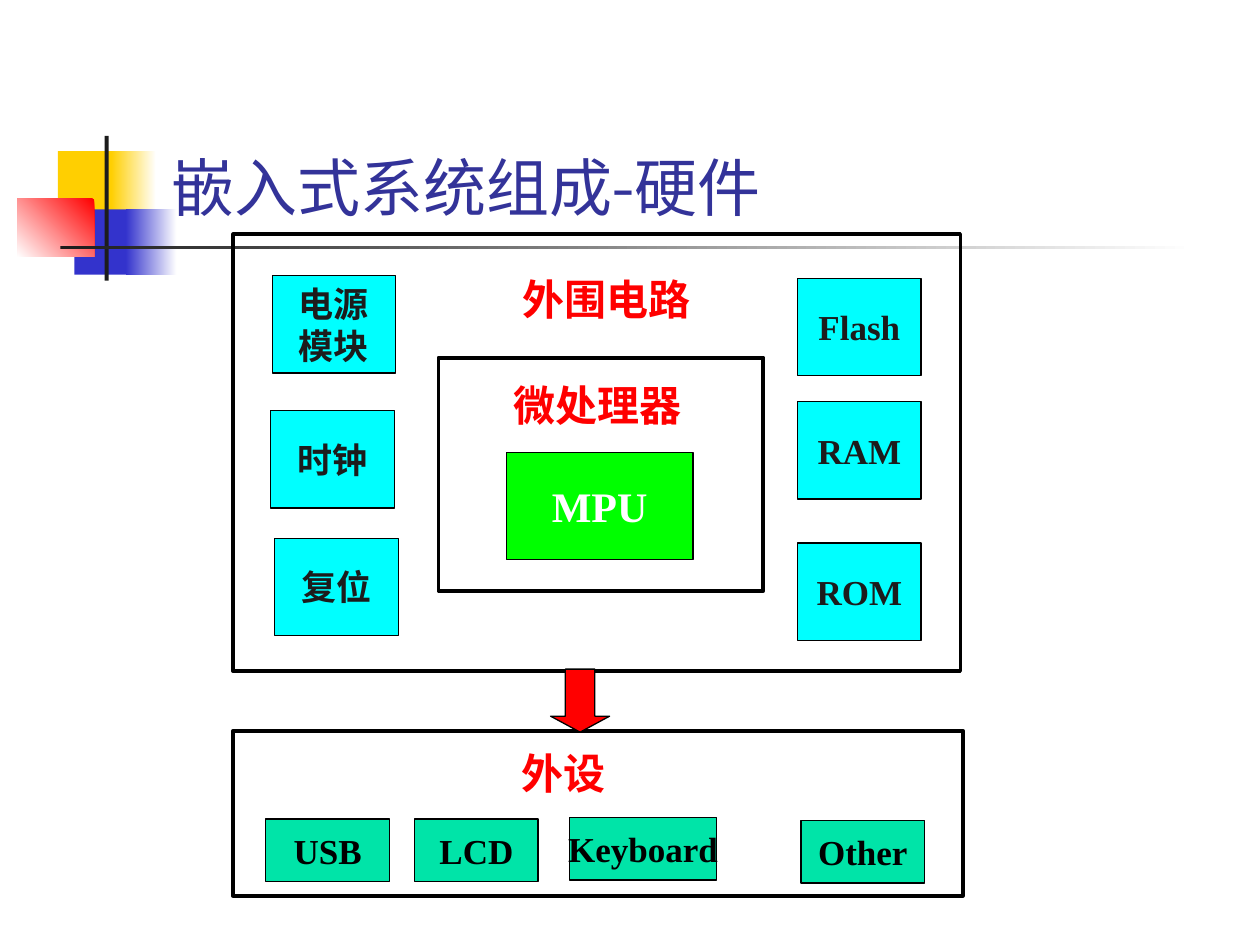
from pptx import Presentation
from pptx.dml.color import RGBColor
from pptx.enum.shapes import MSO_SHAPE
from pptx.enum.text import MSO_ANCHOR, PP_ALIGN
from pptx.util import Cm, Pt

RECTANGLE = MSO_SHAPE.RECTANGLE
DOWN_ARROW = MSO_SHAPE.DOWN_ARROW
MIDDLE = MSO_ANCHOR.MIDDLE
BOTTOM = MSO_ANCHOR.BOTTOM
LEFT = PP_ALIGN.LEFT
CENTER = PP_ALIGN.CENTER

TITLE_ONLY = 5
BODY_FONT = "Times New Roman"
TITLE_FONT = "Karla"
COLORS = {
    "white": "FFFFFF", "black": "000000", "ink": "1C1C1C",
    "red": "FF0000", "yellow": "FFCF01", "blue": "3333CC",
    "title": "333399", "processor": "00FF00",
    "circuit": "00FFFF", "device": "00E4A8",
}


def color(name):
    return RGBColor.from_string(COLORS[name])


def format_text(frame, text, size, color_name, align, font=BODY_FONT, bold=True):
    frame.text = text
    for para in frame.paragraphs:
        para.alignment = align
        for span in para.runs:
            span.font.name = font
            span.font.size = Pt(size)
            span.font.bold = bold
            span.font.color.rgb = color(color_name)


def add_block(page, area, fill=None, line_width=None, kind=RECTANGLE):
    """Add a shape with an optional solid fill and black outline."""
    block = page.shapes.add_shape(kind, *map(Cm, area))
    block.shadow.inherit = False
    if fill:
        block.fill.solid()
        block.fill.fore_color.rgb = color(fill)
    else:
        block.fill.background()
    if line_width:
        block.line.color.rgb = color("black")
        block.line.width = Pt(line_width)
    else:
        block.line.fill.background()
    return block


def add_fade(page, area, start, angle=0):
    """Add a rectangle that fades from a colour to white."""
    block = add_block(page, area)
    block.fill.gradient()
    block.fill.gradient_angle = angle
    for stop, name in zip(block.fill.gradient_stops, (start, "white")):
        stop.color.rgb = color(name)


def add_component(page, area, text, fill, text_color, size=20):
    block = add_block(page, area, fill, 0.75)
    frame = block.text_frame
    format_text(frame, text, size, text_color, CENTER)
    frame.word_wrap = False
    frame.vertical_anchor = MIDDLE


def add_heading(page, area, text, align=CENTER):
    box = page.shapes.add_textbox(*map(Cm, area))
    box.text_frame.word_wrap = True
    format_text(box.text_frame, text, 24, "red", align)


def add_decoration(page):
    add_block(page, (1.17, 3.05, 1.22, 1.32), "yellow")
    add_fade(page, (2.24, 3.05, 0.91, 1.32), "yellow")
    add_block(page, (1.5, 4.22, 1.17, 1.32), "blue")
    add_fade(page, (2.54, 4.22, 1.02, 1.32), "blue")
    add_fade(page, (0.35, 4.01, 1.55, 1.17), "red", 225)
    add_block(page, (2.11, 2.74, 0.08, 2.92), "ink")
    add_fade(page, (1.22, 4.95, 22.86, 0.08), "ink")


def place_title(page, text):
    title = page.shapes.title
    title.left, title.top, title.width, title.height = map(
        Cm, (3.2, 0.58, 21.64, 4.06))
    format_text(title.text_frame, text, 36, "title", LEFT, TITLE_FONT, False)
    title.text_frame.vertical_anchor = BOTTOM
    page.shapes.element.append(title.element)  # in front of the decoration


def add_processor(page):
    add_component(page, (10.21, 9.12, 3.76, 2.16), "MPU", "processor", "white", 24)
    add_block(page, (8.84, 7.21, 6.55, 4.7), line_width=2.25)
    add_heading(page, (10.11, 7.52, 4.55, 1.27), "微处理器", LEFT)


def add_circuit(page):
    add_block(page, (4.7, 4.72, 14.66, 8.81), line_width=2)
    modules = [
        ("电源\n模块", 5.49, 5.56), ("时钟", 5.46, 8.28), ("复位", 5.54, 10.85),
        ("Flash", 16.08, 5.61), ("RAM", 16.08, 8.1), ("ROM", 16.08, 10.95),
    ]
    for text, left, top in modules:
        add_component(page, (left, top, 2.49, 1.96), text, "circuit", "ink")
    add_heading(page, (9.96, 5.38, 4.55, 1.27), "外围电路")


def add_devices(page):
    add_block(page, (4.7, 14.73, 14.71, 3.33), line_width=2.25)
    devices = [
        ("USB", 5.36, 16.51, 2.49), ("LCD", 8.36, 16.51, 2.49),
        ("Keyboard", 11.48, 16.48, 2.97), ("Other", 16.15, 16.54, 2.49),
    ]
    for text, left, top, width in devices:
        add_component(page, (left, top, width, 1.26), text, "device", "black")
    add_heading(page, (9.3, 14.94, 4.11, 1.27), "外设")


def add_down_arrow(page):
    arrow = add_block(page, (11.1, 13.49, 1.19, 1.27), "red", 0.75, DOWN_ARROW)
    arrow.adjustments[0] = 0.5
    arrow.adjustments[1] = 0.27


def main():
    deck = Presentation()
    deck.slide_width, deck.slide_height = Cm(25.4), Cm(19.05)
    page = deck.slides.add_slide(deck.slide_layouts[TITLE_ONLY])
    add_decoration(page)
    place_title(page, "嵌入式系统组成-硬件")
    add_processor(page)
    add_circuit(page)
    add_devices(page)
    add_down_arrow(page)
    deck.save("out.pptx")


if __name__ == "__main__":
    main()
